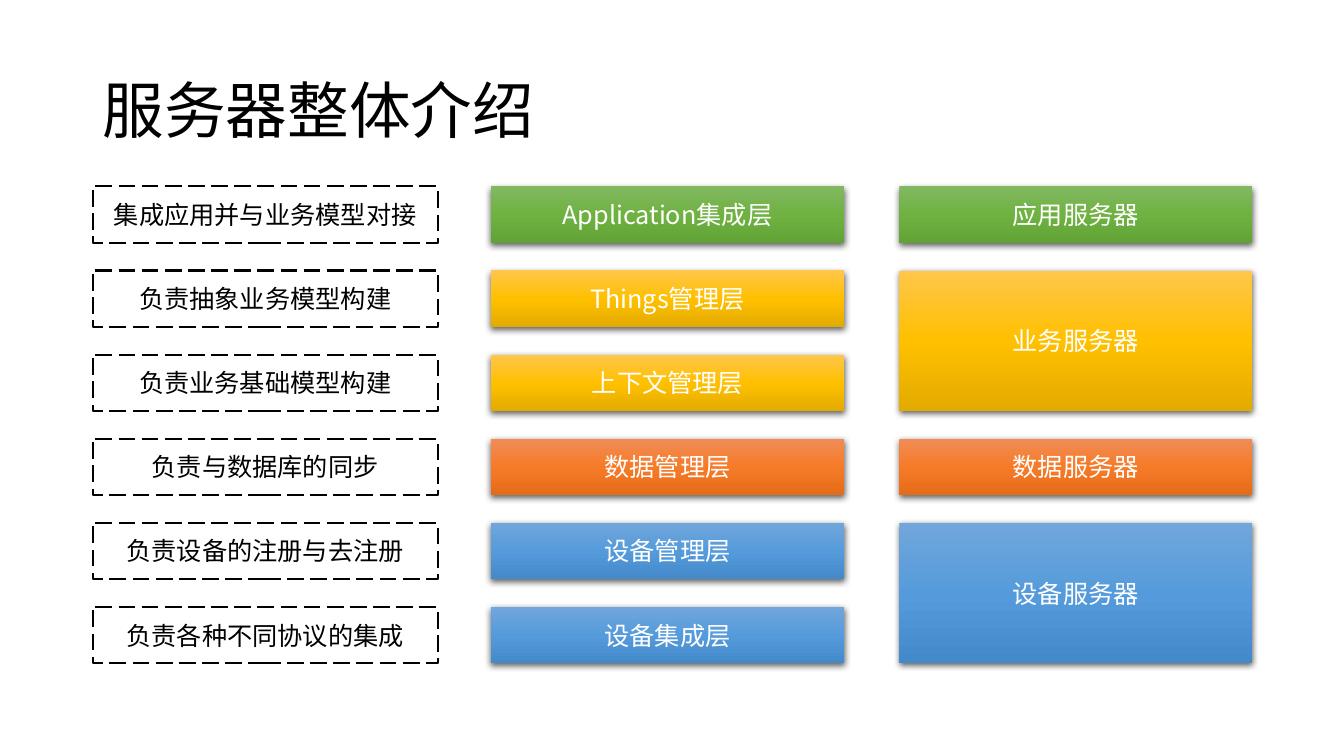
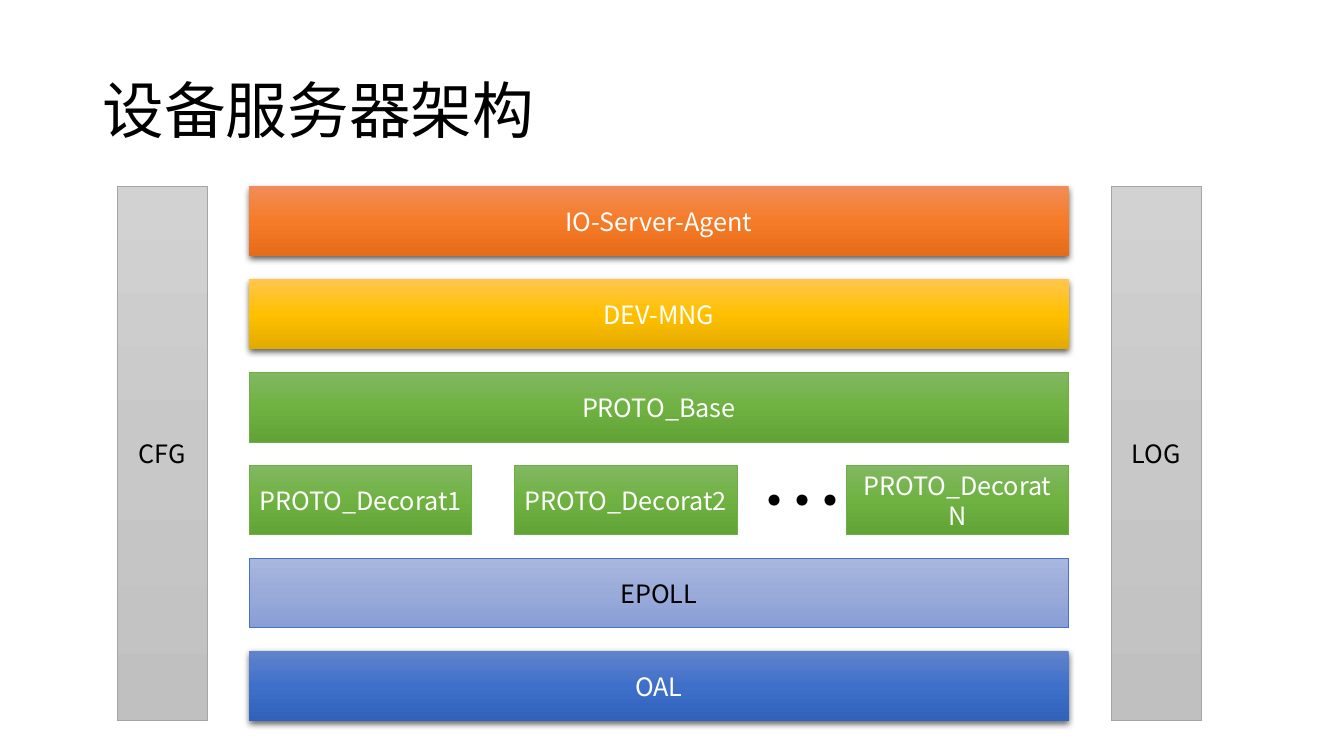
import copy
from dataclasses import dataclass

import lxml.etree
import pptx
import pptx.dml.color
import pptx.enum.dml
import pptx.enum.shapes
import pptx.enum.text
import pptx.oxml.ns
import pptx.util

Inches, Pt = pptx.util.Inches, pptx.util.Pt
RGB = pptx.dml.color.RGBColor.from_string
qn = pptx.oxml.ns.qn
Anchor = pptx.enum.text.MSO_ANCHOR
Align = pptx.enum.text.PP_ALIGN


@dataclass(frozen=True)
class Theme:
    font: str = "Noto Sans CJK SC"
    head: int = 44
    body: int = 18
    dots: int = 60
    black: str = "000000"
    white: str = "FFFFFF"
    # Gradients run from top through middle to bottom
    green: tuple = ("81B861", "6FB242", "62A336")
    gold: tuple = ("FFC64B", "FFC000", "E3AB00")
    orange: tuple = ("F18C57", "F67B28", "E56C19")
    sky: tuple = ("71A6DB", "559BDB", "448ACA")
    navy: tuple = ("6183CB", "3E70CA", "3062BB")
    pale: tuple = ("A8B7DF", "9AABD9", "889ED7")
    gray: tuple = ("D2D2D2", "C8C8C8", "C0C0C0")
    leaf: str = "70AD47"
    blue: str = "4472C4"
    steel: str = "A5A5A5"


T = Theme()
TOP = 1.85


# Shared helpers
def assign(item, values):
    for name, value in values.items():
        setattr(item, name, value)


def write(shape, text, size, color, align=Align.CENTER, anchor=Anchor.MIDDLE, lead=None):
    frame = shape.text_frame
    assign(frame, {"word_wrap": True, "vertical_anchor": anchor})
    para = frame.paragraphs[0]
    assign(para, {"alignment": align, "line_spacing": lead})
    run = para.add_run()
    run.text = text
    assign(run.font, {"size": Pt(size), "name": T.font})
    run.font.color.rgb = RGB(color)
    east = lxml.etree.SubElement(run.font._element, qn("a:ea"))
    east.set("typeface", T.font)


def label(slide, spot, text, size, **style):
    box = slide.shapes.add_textbox(*map(Inches, spot))
    write(box, text, size, T.black, Align.LEFT, **style)
    return box


def shade(shape, colors):
    shape.fill.gradient()
    shape.fill.gradient_angle = 270
    stop = shape._element.spPr.find(".//" + qn("a:gs"))
    stop.addnext(copy.deepcopy(stop))
    for stop, color, place in zip(shape.fill.gradient_stops, colors, (0, 0.5, 1)):
        stop.color.rgb = RGB(color)
        stop.position = place


def glow(shape):
    effects = shape._element.spPr.find(qn("a:effectLst"))
    outer = lxml.etree.SubElement(effects, qn("a:outerShdw"))
    facts = {"blurRad": Pt(4.5), "dist": Pt(1.5), "dir": 5400000, "algn": "ctr", "rotWithShape": 0}
    for name, value in facts.items():
        outer.set(name, str(value))
    tint = lxml.etree.SubElement(outer, qn("a:srgbClr"), val=T.black)
    lxml.etree.SubElement(tint, qn("a:alpha"), val="63000")


def block(slide, spot, text, ink=T.white):
    kind = pptx.enum.shapes.MSO_SHAPE.RECTANGLE
    shape = slide.shapes.add_shape(kind, *map(Inches, spot))
    shape.shadow.inherit = False
    write(shape, text, T.body, ink)
    return shape


def raised(slide, spot, text, colors):
    shape = block(slide, spot, text)
    shade(shape, colors)
    shape.line.fill.background()
    glow(shape)


def edged(slide, spot, text, colors, edge, ink=T.white):
    shape = block(slide, spot, text, ink)
    shade(shape, colors)
    shape.line.color.rgb = RGB(edge)
    shape.line.width = Pt(0.5)


def dashed(slide, spot, text):
    shape = block(slide, spot, text, T.black)
    shape.fill.solid()
    shape.fill.fore_color.rgb = RGB(T.white)
    shape.line.color.rgb = RGB(T.black)
    dash = pptx.enum.dml.MSO_LINE.LONG_DASH
    assign(shape.line, {"width": Pt(1.5), "dash_style": dash})


def start(deck, title):
    slide = deck.slides.add_slide(deck.slide_layouts[6])
    label(slide, (0.92, 0.4, 11.5, 1.45), title, T.head, lead=0.9)
    return slide


# Server layers
def layers(deck):
    slide = start(deck, "服务器整体介绍")
    step, high, wide = 0.834, 0.56, 3.5
    rows = [
        ("集成应用并与业务模型对接", "Application集成层", T.green),
        ("负责抽象业务模型构建", "Things管理层", T.gold),
        ("负责业务基础模型构建", "上下文管理层", T.gold),
        ("负责与数据库的同步", "数据管理层", T.orange),
        ("负责设备的注册与去注册", "设备管理层", T.sky),
        ("负责各种不同协议的集成", "设备集成层", T.sky),
    ]
    for row, (duty, layer, colors) in enumerate(rows):
        y = TOP + row * step
        dashed(slide, (0.92, y, 3.42, high), duty)
        raised(slide, (4.87, y, wide, high), layer, colors)

    # Servers span the layers they run
    servers = [
        ("应用服务器", 0, 1, T.green),
        ("业务服务器", 1, 2, T.gold),
        ("数据服务器", 3, 1, T.orange),
        ("设备服务器", 4, 2, T.sky),
    ]
    for name, row, span, colors in servers:
        tall = high + (span - 1) * step
        raised(slide, (8.92, TOP + row * step, wide, tall), name, colors)


# Device server stack
def stack(deck):
    slide = start(deck, "设备服务器架构")
    step, high, left, wide = 0.922, 0.69, 2.47, 8.13

    def band(row):
        return left, TOP + row * step, wide, high

    for x, name in ((1.16, "CFG"), (11.02, "LOG")):
        edged(slide, (x, TOP, 0.9, 5.3), name, T.gray, T.steel, T.black)

    raised(slide, band(0), "IO-Server-Agent", T.orange)
    raised(slide, band(1), "DEV-MNG", T.gold)
    edged(slide, band(2), "PROTO_Base", T.green, T.leaf)
    edged(slide, band(4), "EPOLL", T.pale, T.blue, T.black)
    raised(slide, band(5), "OAL", T.navy)

    # Protocol decorators
    for x, mark in ((left, "1"), (5.1, "2"), (8.39, "N")):
        spot = (x, TOP + 3 * step, 2.21, high)
        edged(slide, spot, "PROTO_Decorat" + mark, T.green, T.leaf)
    dots = label(slide, (7.44, 4.4, 0.81, 1.11), "…", T.dots, anchor=Anchor.TOP)
    dots.text_frame.auto_size = pptx.enum.text.MSO_AUTO_SIZE.SHAPE_TO_FIT_TEXT


def main():
    deck = pptx.Presentation()
    assign(deck, {"slide_width": Inches(13.33), "slide_height": Inches(7.5)})
    layers(deck)
    stack(deck)
    deck.save("out.pptx")


main()
